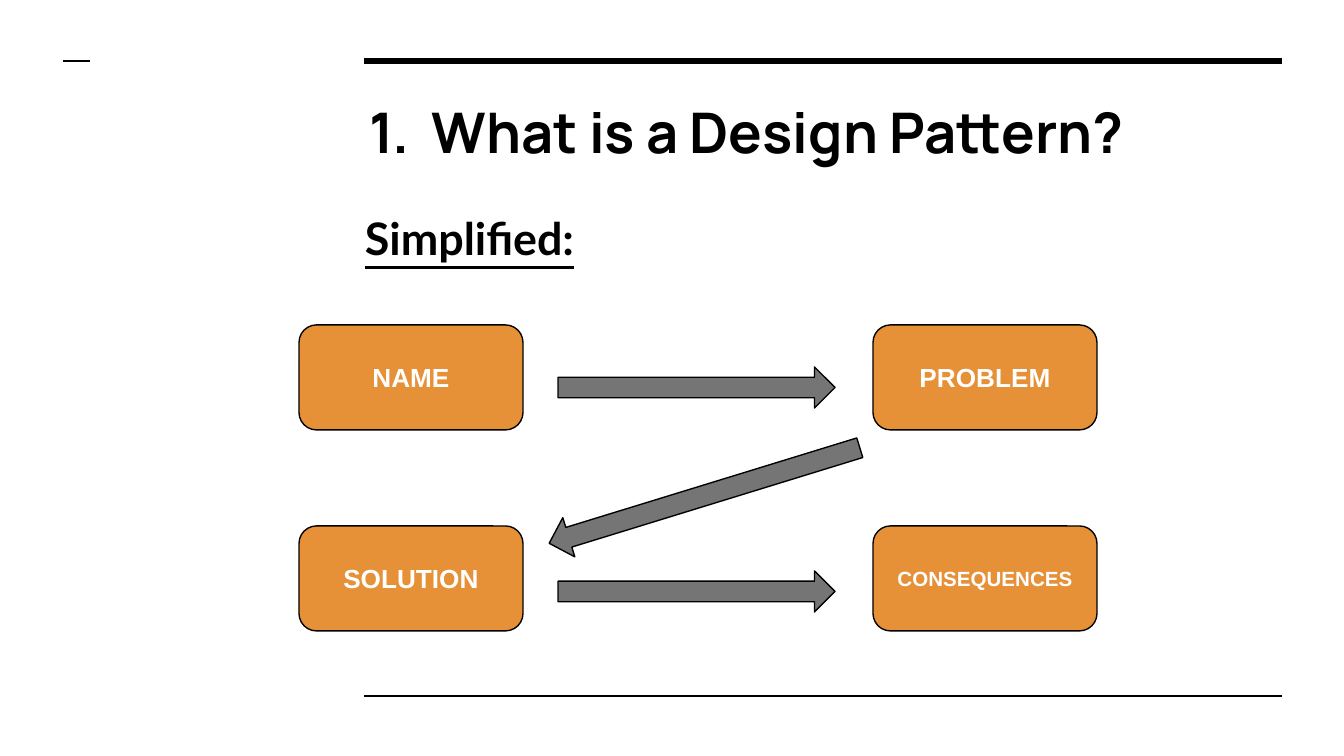
from lxml.etree import SubElement
from pptx import Presentation
from pptx.dml.color import RGBColor
from pptx.enum.shapes import MSO_CONNECTOR, MSO_SHAPE
from pptx.enum.text import MSO_ANCHOR, MSO_AUTO_SIZE, PP_ALIGN
from pptx.oxml.ns import qn
from pptx.util import Emu, Pt

BLACK, WHITE, ORANGE, GRAY = "000000", "FFFFFF", "E69138", "757575"
INSET = 13


def px(length):
    return Emu(round(length * 914400 / 134.4))


def paint(color_format, color):
    color_format.rgb = RGBColor.from_string(color)


def write(shape, text, size, font, color, align=PP_ALIGN.LEFT,
          anchor=MSO_ANCHOR.TOP, underline=False):
    text_frame = shape.text_frame
    text_frame.text = text
    text_frame.word_wrap = True
    text_frame.auto_size = MSO_AUTO_SIZE.NONE
    text_frame.vertical_anchor = anchor
    text_frame.margin_left = text_frame.margin_right = px(INSET)
    text_frame.margin_top = text_frame.margin_bottom = px(INSET)
    paragraph = text_frame.paragraphs[0]
    paragraph.alignment = align
    run = paragraph.runs[0]
    run.font.size = Pt(size)
    run.font.name = font
    run.font.bold = True
    if underline:
        run.font.underline = True
    paint(run.font.color, color)
    return paragraph


def number(paragraph, font, color, margin, indent):
    properties = paragraph._p.get_or_add_pPr()
    properties.set("marL", str(px(margin)))
    properties.set("indent", str(px(indent)))
    bullet_color = SubElement(properties, qn("a:buClr"))
    SubElement(bullet_color, qn("a:srgbClr"), val=color)
    SubElement(properties, qn("a:buFont"), typeface=font)
    SubElement(properties, qn("a:buAutoNum"), type="arabicPeriod")


def add_title(slide, text):
    title = slide.shapes.title
    title.left, title.top, title.width, title.height = map(px, (352, 85, 929, 93))
    paragraph = write(title, text, 30, "Manrope", BLACK)
    number(paragraph, "Manrope", BLACK, 67, -62)


def add_subtitle(slide, text):
    subtitle = slide.shapes.add_textbox(*map(px, (352, 198, 696, 59)))
    write(subtitle, text, 24, "Lato", BLACK, underline=True)


def add_rule(slide, left, right, y, weight):
    rule = slide.shapes.add_connector(
        MSO_CONNECTOR.STRAIGHT, px(left), px(y), px(right), px(y))
    paint(rule.line.color, BLACK)
    rule.line.width = Pt(weight)
    SubElement(rule._element.spPr, qn("a:effectLst"))


def add_outlined(slide, kind, left, top, width, height, fill):
    shape = slide.shapes.add_shape(kind, px(left), px(top), px(width), px(height))
    shape.shadow.inherit = False
    shape.fill.solid()
    paint(shape.fill.fore_color, fill)
    paint(shape.line.color, BLACK)
    shape.line.width = Pt(0.75)
    return shape


def add_box(slide, left, top, text, size):
    box = add_outlined(slide, MSO_SHAPE.ROUNDED_RECTANGLE, left, top, 224, 105, ORANGE)
    write(box, text, size, "Arial", WHITE, PP_ALIGN.CENTER, MSO_ANCHOR.MIDDLE)


def add_arrow(slide, left, top, width, rotation=0):
    arrow = add_outlined(slide, MSO_SHAPE.RIGHT_ARROW, left, top, width, 41, GRAY)
    arrow.rotation = rotation


def main():
    presentation = Presentation()
    presentation.slide_width = px(1344)
    presentation.slide_height = px(756)
    slide = presentation.slides.add_slide(presentation.slide_layouts[5])

    add_rule(slide, 364, 1282, 61, 3)
    add_rule(slide, 364, 1282, 696, 1.5)
    add_rule(slide, 63, 90, 61, 1.5)
    add_title(slide, "What is a Design Pattern?")
    add_subtitle(slide, "Simplified:")

    steps = [("NAME", 14), ("PROBLEM", 14), ("SOLUTION", 14), ("CONSEQUENCES", 11)]
    for index, (text, size) in enumerate(steps):
        row, column = divmod(index, 2)
        add_box(slide, 299 + 574 * column, 325 + 201 * row, text, size)

    add_arrow(slide, 558, 367, 277)
    add_arrow(slide, 542, 475, 325, 162.9)
    add_arrow(slide, 558, 571, 277)
    presentation.save("out.pptx")


if __name__ == "__main__":
    main()
